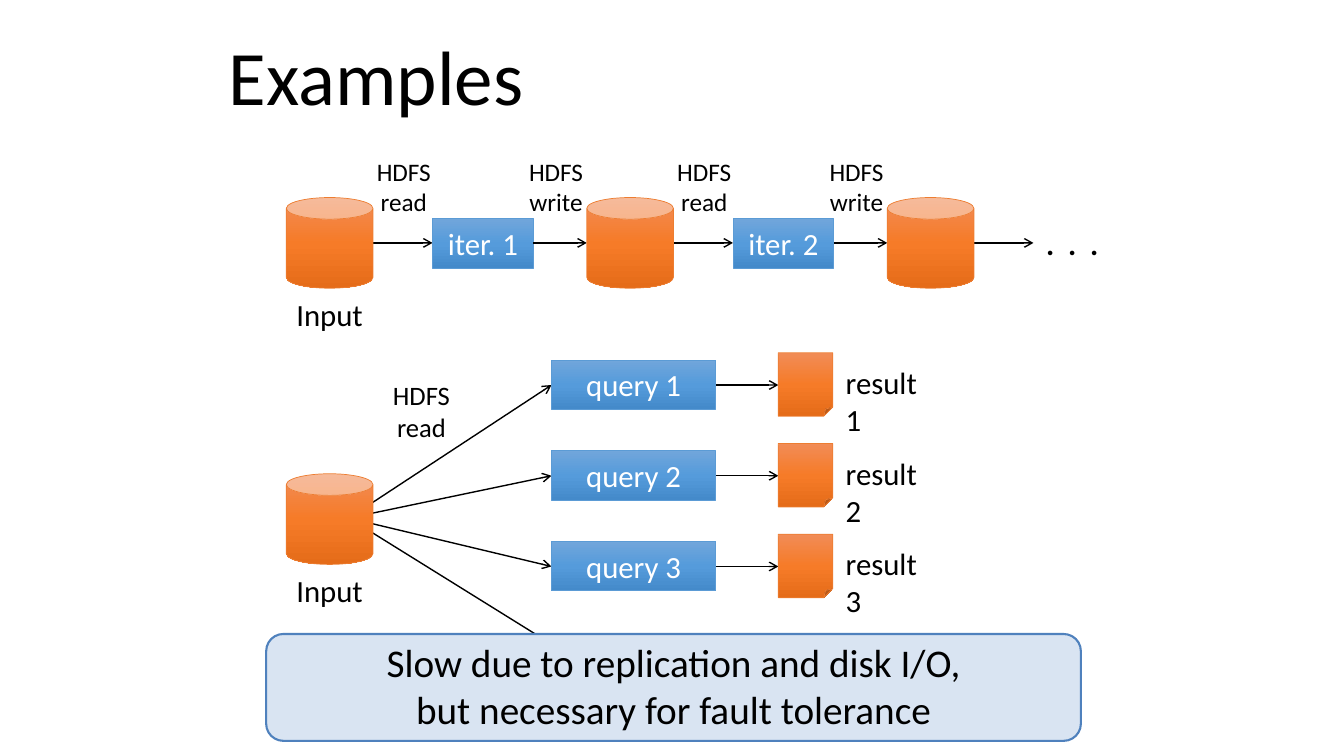
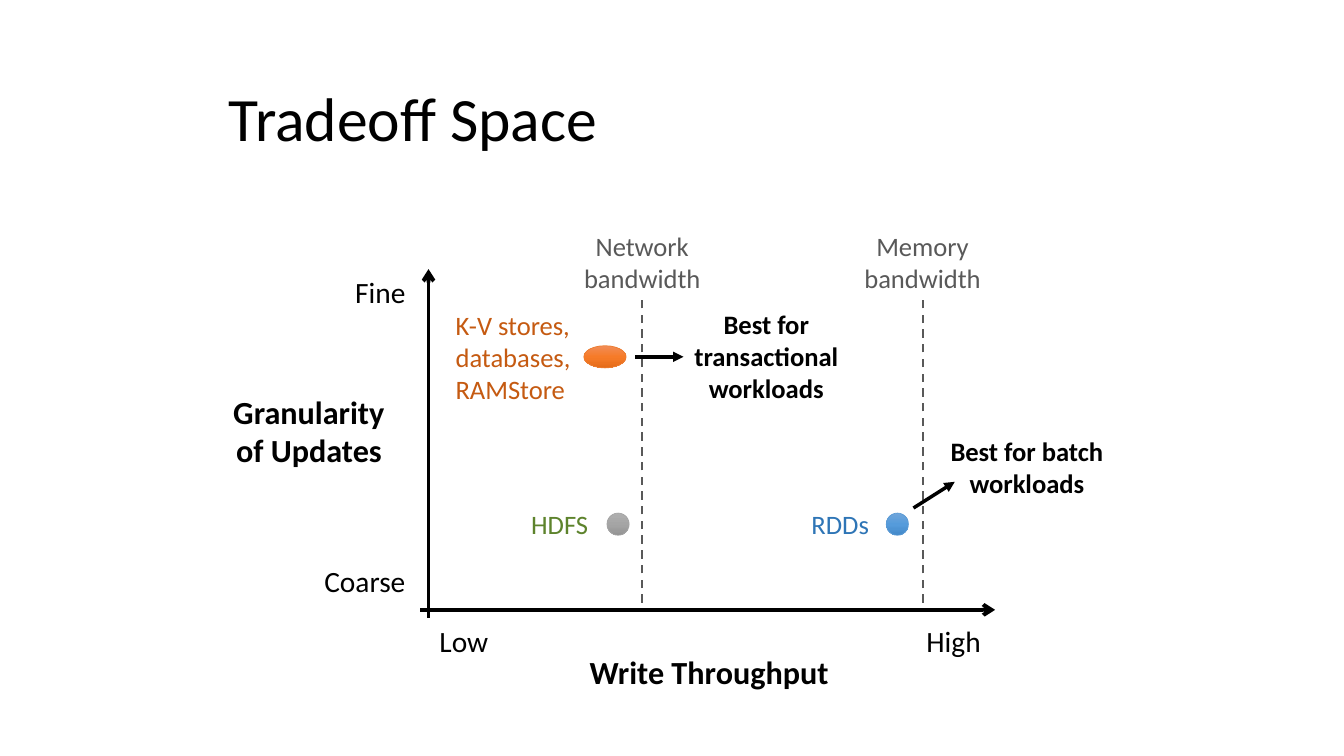
from copy import deepcopy

from pptx import Presentation
from pptx.dml.color import RGBColor
from pptx.enum.dml import MSO_LINE
from pptx.enum.shapes import MSO_CONNECTOR, MSO_SHAPE
from pptx.enum.text import MSO_ANCHOR, MSO_AUTO_SIZE, PP_ALIGN
from pptx.oxml.ns import qn
from pptx.util import Inches, Pt

LEFT, CENTER, RIGHT = PP_ALIGN.LEFT, PP_ALIGN.CENTER, PP_ALIGN.RIGHT
MIDDLE = MSO_ANCHOR.MIDDLE
FIXED, GROW = MSO_AUTO_SIZE.NONE, MSO_AUTO_SIZE.SHAPE_TO_FIT_TEXT
CAN, BOX, PAGE = MSO_SHAPE.CAN, MSO_SHAPE.RECTANGLE, MSO_SHAPE.FOLDED_CORNER
DOT, ROUNDED = MSO_SHAPE.OVAL, MSO_SHAPE.ROUNDED_RECTANGLE
STRAIGHT = MSO_CONNECTOR.STRAIGHT
DASH = MSO_LINE.DASH
TITLE_ONLY = 5

COLORS = {
    "black": "000000", "white": "FFFFFF", "limit": "595959",
    "stores": "C55A11", "hdfs": "5D832C", "rdds": "2E75B6",
    "callout": "D9E4F2", "callout edge": "4F81BD",
    "orange edge": "ED7D31", "blue edge": "5B9BD5", "gray edge": "A5A5A5",
}
GRADIENTS = {
    "orange": ("F18C57", "F67B28", "E56C19"),
    "blue": ("71A6DB", "559BDB", "448ACA"),
    "gray": ("AFAFAF", "A5A5A5", "939393"),
}


def rgb(name):
    return RGBColor.from_string(COLORS[name])


class Deck:
    """Holds the shared style and the slide being built."""

    font = "Calibri"

    def __init__(self):
        self.prs = Presentation()
        self.prs.slide_width = Inches(13.33)
        self.prs.slide_height = Inches(7.5)
        self.slide = None

    def new_slide(self, title, top, size):
        self.slide = self.prs.slides.add_slide(self.prs.slide_layouts[TITLE_ONLY])
        heading = self.slide.shapes.title
        heading.left, heading.top = Inches(2.17), Inches(top)
        heading.width, heading.height = Inches(9), Inches(1.25)
        frame = heading.text_frame
        frame.auto_size = FIXED
        frame.vertical_anchor = MIDDLE
        self.set_text(frame, title, size, align=LEFT)
        frame.paragraphs[0].line_spacing = 0.9

    def set_text(self, frame, text, size, color="black", align=CENTER, bold=False):
        """Fill a frame: a tuple gives paragraphs, a newline a line break."""
        paragraphs = (text,) if isinstance(text, str) else text
        for i, content in enumerate(paragraphs):
            paragraph = frame.add_paragraph() if i else frame.paragraphs[0]
            paragraph.alignment = align
            for j, line in enumerate(content.split("\n")):
                if j:
                    paragraph.add_line_break()
                run = paragraph.add_run()
                run.text = line
                run.font.name, run.font.size = self.font, Pt(size)
                run.font.bold = bold
                run.font.color.rgb = rgb(color)

    def label(self, at, text, size, wrap=False, spacing=None, **style):
        """Add a text box; spacing is in hundredths of a point per letter."""
        box = self.slide.shapes.add_textbox(*map(Inches, at))
        box.text_frame.word_wrap = wrap
        box.text_frame.auto_size = GROW
        self.set_text(box.text_frame, text, size, **style)
        if spacing:
            for properties in box.element.iter(qn("a:rPr")):
                properties.set("spc", str(spacing))

    def outlined(self, kind, at, edge, width):
        shape = self.slide.shapes.add_shape(kind, *map(Inches, at))
        shape.shadow.inherit = False
        shape.line.color.rgb = rgb(edge)
        shape.line.width = Pt(width)
        return shape

    def glossy(self, kind, at, hue, text=None):
        """Add a shape with a top-to-bottom gradient."""
        shape = self.outlined(kind, at, f"{hue} edge", 0.5)
        shape.fill.gradient()
        shape.fill.gradient_angle = 270
        stops = shape.element.spPr.find(".//" + qn("a:gsLst"))
        stops.append(deepcopy(stops[0]))
        for i, (stop, shade) in enumerate(zip(shape.fill.gradient_stops, GRADIENTS[hue])):
            stop.position = i / 2
            stop.color.rgb = RGBColor.from_string(shade)
        if text:
            frame = shape.text_frame
            frame.margin_left = frame.margin_right = 0
            frame.vertical_anchor = MIDDLE
            self.set_text(frame, text, 22, "white")

    def callout(self, at, text):
        shape = self.outlined(ROUNDED, at, "callout edge", 1.5)
        shape.adjustments[0] = 0.16
        shape.fill.solid()
        shape.fill.fore_color.rgb = rgb("callout")
        shape.text_frame.word_wrap = True
        shape.text_frame.margin_top = 0
        shape.text_frame.vertical_anchor = MIDDLE
        self.set_text(shape.text_frame, text, 28)

    def line(self, start, end, width=1, head="arrow", color="black", dash=None):
        connector = self.slide.shapes.add_connector(
            STRAIGHT, *map(Inches, (*start, *end)))
        connector.line.color.rgb = rgb(color)
        connector.line.width = Pt(width)
        if dash:
            connector.line.dash_style = dash
        properties = connector.element.spPr
        if head:
            outline = properties.find(qn("a:ln"))
            outline.append(outline.makeelement(qn("a:tailEnd"), {"type": head}))
        properties.append(properties.makeelement(qn("a:effectLst"), {}))


def build_examples(deck):
    deck.new_slide("Examples", 0.17, 55)
    can_left, can_width, can_height = 2.84, 0.86, 0.9
    step, flow_y = 2.98, 2.41

    for i in range(3):
        left = can_left + i * step
        can_right, iter_left, iter_right = left + can_width, left + 1.45, left + 2.45
        deck.line((can_right, flow_y), (iter_left, flow_y))
        deck.glossy(CAN, (left, 1.96, can_width, can_height), "orange")
        if i < 2:
            deck.glossy(BOX, (iter_left, 2.17, 1, 0.49), "blue", f"iter. {i + 1}")
            deck.line((iter_right, flow_y), (left + step, flow_y))
            for offset, action in ((0.76, "read"), (2.27, "write")):
                deck.label((left + offset, 1.5, 0.81, 0.71), f"HDFS\n{action}", 18)
    deck.label((10.24, 2.18, 0.79, 0.47), ". . .", 22, wrap=True, bold=True, spacing=250)

    fan_start = (3.46, 5.14)
    query_left, query_right, result_left = 5.47, 7.1, 7.72
    for i in range(3):
        y = 3.82 + 0.9 * i
        deck.line(fan_start, (query_left, y))
        deck.line((query_right, y), (result_left, y))
        deck.glossy(PAGE, (result_left, y - 0.32, 0.54, 0.63), "orange")
        deck.glossy(BOX, (query_left, y - 0.25, query_right - query_left, 0.49),
                    "blue", f"query {i + 1}")
        # The last result name breaks over two lines.
        deck.label((8.29, y - 0.26, 1.1, 0.47), f"result {i + 1}", 22,
                   wrap=i == 2, align=LEFT)
    deck.line(fan_start, (query_left, 6.39))
    deck.glossy(CAN, (can_left, 4.7, can_width, can_height), "orange")
    deck.label((3.76, 3.71, 0.84, 0.74), "HDFS\nread", 19)
    for top in (2.88, 5.62):
        deck.label((can_left, top, 0.88, 0.47), "Input", 22, align=LEFT)

    deck.callout((2.64, 6.29, 8.08, 1.06),
                 "Slow due to replication and disk I/O,\nbut necessary for fault tolerance")


def build_tradeoff(deck):
    deck.new_slide("Tradeoff Space", 0.58, 44)

    for x, resource in ((9.15, "Memory"), (6.37, "Network")):
        deck.line((x, 5.98), (x, 2.98), 1.5, None, "limit", DASH)
        deck.label((x - 0.7, 2.23, 1.4, 0.74), (resource, "bandwidth"), 19, color="limit")

    deck.line((4.25, 6.13), (4.25, 2.67), 2.75)
    deck.line((4.17, 6.05), (9.87, 6.05), 2.75)
    deck.label((2.17, 3.84, 1.79, 0.88), ("Granularity", "of Updates"), 23, bold=True)
    deck.label((5.69, 6.42, 2.69, 0.49), "Write Throughput", 23, bold=True)
    for at, text, align in (
        ((3.4, 2.67, 0.72, 0.45), "Fine", RIGHT),
        ((3.08, 5.54, 1.04, 0.45), "Coarse", RIGHT),
        ((4.26, 6.13, 0.72, 0.45), "Low", LEFT),
        ((9.09, 6.13, 0.78, 0.45), "High", LEFT),
    ):
        deck.label(at, text, 21, align=align)

    for at, hue in (
        ((6.02, 5.09, 0.22, 0.22), "gray"),
        ((8.79, 5.09, 0.22, 0.22), "blue"),
        ((5.79, 3.43, 0.42, 0.22), "orange"),
    ):
        deck.glossy(DOT, at, hue)
    deck.label((4.42, 3.02, 1.39, 1.38), ("K-V stores,", "databases,", "RAMStore"), 19,
               wrap=True, color="stores", align=LEFT)
    deck.label((5.17, 4.99, 0.84, 0.42), "HDFS", 19, color="hdfs", align=LEFT)
    deck.label((7.95, 4.99, 0.82, 0.42), "RDDs", 19, color="rdds", align=LEFT)

    for at, verdict, start, end in (
        ((9.28, 4.27, 1.81, 0.74), ("Best for batch", "workloads"),
         (9.06, 5.04), (9.47, 4.78)),
        ((6.74, 3.01, 1.72, 1.06), ("Best for", "transactional", "workloads"),
         (6.3, 3.54), (6.78, 3.54)),
    ):
        deck.label(at, verdict, 19, bold=True)
        deck.line(start, end, 2.5, "triangle")


def main():
    deck = Deck()
    build_examples(deck)
    build_tradeoff(deck)
    deck.prs.save("out.pptx")


if __name__ == "__main__":
    main()
